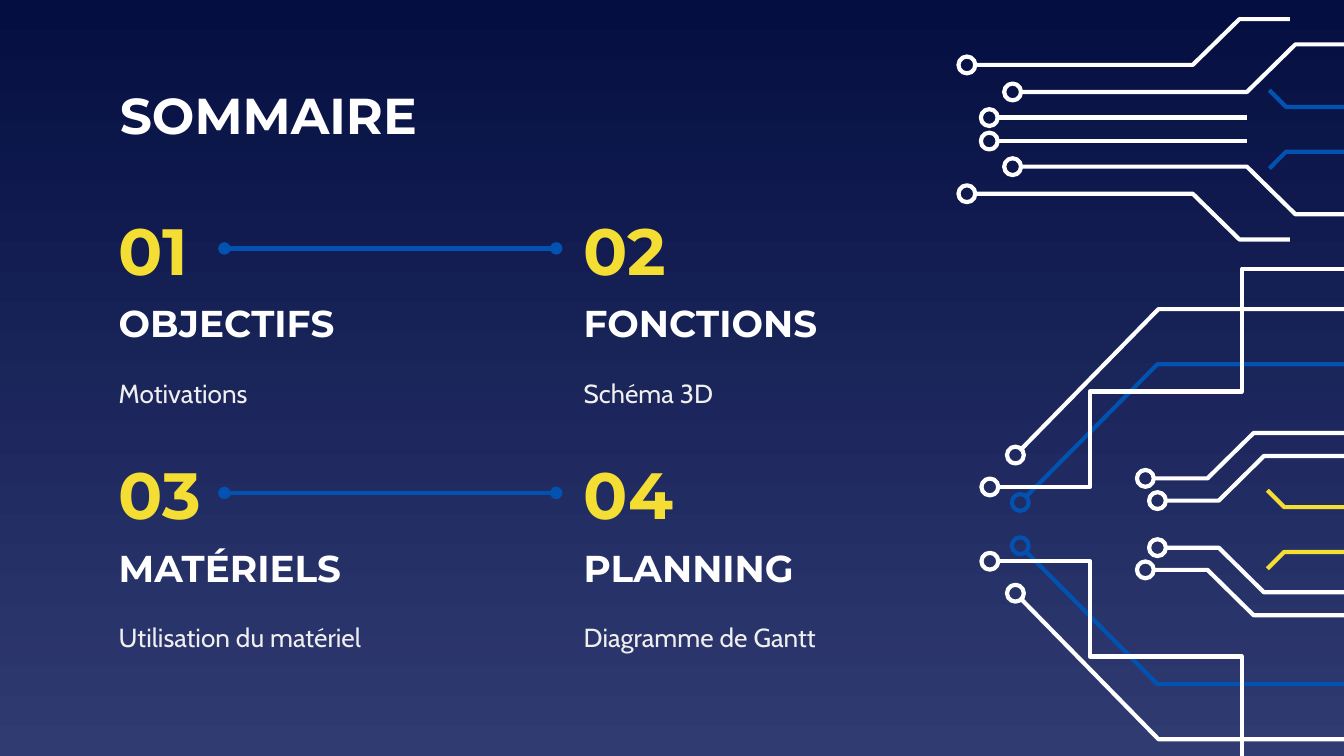
import math

import pptx
import pptx.dml.color
import pptx.enum.shapes
import pptx.enum.text
import pptx.oxml
import pptx.oxml.ns
import pptx.util

Pt = pptx.util.Pt
COLORS = {
    "top": "040E41", "bottom": "303B72", "white": "FFFFFF",
    "pale": "EFEFEF", "yellow": "F5DE34", "blue": "0152B1",
}
STROKE = 2.25
RADIUS = 4.5
ITEMS = [
    ("OBJECTIFS", "Motivations"),
    ("FONCTIONS", "Schéma 3D"),
    ("MATÉRIELS", "Utilisation du matériel"),
    ("PLANNING", "Diagramme de Gantt"),
]
CONNECTOR_TRACES = [
    ("white", [(5, 34.5), (126, 34.5), (151, 59), (178, 59)]),
    ("white", [(29.5, 20), (155, 20), (181, 45.5), (225, 45.5)]),
    ("white", [(17, 6.3), (155, 6.3)]),
]
CHIP_TRACES = [
    ("white", [(88, 24.5), (121.3, 24.5), (146, 48.8), (209, 48.8)]),
    ("white", [(94.5, 12.6), (127.3, 12.6), (151.5, 36.5), (209, 36.5)]),
    ("blue", [(21, 11.6), (94.5, 85.7), (209, 85.7)]),
    ("white", [(4.7, 19.9), (58.3, 19.9), (58.3, 71), (139.7, 71), (139.7, 136.8), (209, 136.8)]),
    ("white", [(18.4, 37), (95, 115.2), (209, 115.2)]),
]
NOTCH = [(0, 21), (9, 12), (50, 12)]


def rgb(name):
    """Return the named colour."""
    return pptx.dml.color.RGBColor.from_string(COLORS[name])


def set_line(sp, color):
    """Give a shape or connector the common stroke."""
    sp.line.color.rgb = rgb(color)
    sp.line.width = Pt(STROKE)


def write(sp, text, *, left, top, width, height, size, color="white", font="Montserrat", bold=True):
    """Place a text shape and fill it with one formatted paragraph."""
    sp.left, sp.top, sp.width, sp.height = Pt(left), Pt(top), Pt(width), Pt(height)
    tf = sp.text_frame
    tf.word_wrap = True
    tf.auto_size = pptx.enum.text.MSO_AUTO_SIZE.NONE
    tf.vertical_anchor = pptx.enum.text.MSO_ANCHOR.MIDDLE
    tf.margin_left = tf.margin_right = tf.margin_top = tf.margin_bottom = Pt(7.2)
    p = tf.paragraphs[0]
    p.alignment = pptx.enum.text.PP_ALIGN.LEFT
    r = p.add_run()
    r.text = text
    r.font.size, r.font.bold, r.font.name = Pt(size), bold, font
    r.font.color.rgb = rgb(color)


def add_path(slide, points, color):
    """Draw an open outline through the points."""
    points = [(Pt(x), Pt(y)) for x, y in points]
    builder = slide.shapes.build_freeform(*points[0])
    builder.add_line_segments(points[1:], close=False)
    sp = builder.convert_to_shape()
    sp.fill.background()
    set_line(sp, color)
    sp.shadow.inherit = False


def add_ring(slide, x, y, color):
    """Draw a hollow node centred on a point."""
    sp = slide.shapes.add_shape(
        pptx.enum.shapes.MSO_SHAPE.OVAL,
        Pt(x - RADIUS), Pt(y - RADIUS), Pt(2 * RADIUS), Pt(2 * RADIUS))
    sp.fill.background()
    set_line(sp, color)
    sp.shadow.inherit = False


def add_circuit(slide, left, axis, traces, nodes=True):
    """Draw traces above a horizontal axis and their reflections below it."""
    for side in (-1, 1):
        for color, offsets in traces:
            points = [(left + x, axis + side * y) for x, y in offsets]
            if nodes:
                (x, y), (x2, y2) = points[:2]
                add_ring(slide, x, y, color)
                share = RADIUS / math.hypot(x2 - x, y2 - y)
                points[0] = (x + share * (x2 - x), y + share * (y2 - y))
            add_path(slide, points, color)


def add_item(slide, left, top, number, title, detail):
    """Write one numbered entry of the summary."""
    rows = [
        (f"{number:02}", 0, 71, 42, dict(size=35, color="yellow")),
        (title, 41.7, 173.5, 37.5, dict(size=20)),
        (detail, 77, 173.5, 41.8, dict(size=14, color="pale", font="Cabin", bold=False)),
    ]
    for text, dy, width, height, style in rows:
        sp = slide.shapes.add_textbox(0, 0, 0, 0)
        write(sp, text, left=left, top=top + dy, width=width, height=height, **style)


def add_link(slide, x1, x2, y):
    """Join two numbers with a line ending in dots."""
    sp = slide.shapes.add_connector(
        pptx.enum.shapes.MSO_CONNECTOR.STRAIGHT, Pt(x1), Pt(y), Pt(x2), Pt(y))
    set_line(sp, "blue")
    ln = sp.line._get_or_add_ln()
    for tag in ("a:headEnd", "a:tailEnd"):
        end = pptx.oxml.ns.qn(tag)
        ln.append(ln.makeelement(end, {"type": "oval"}))
    props = sp._element.spPr
    props.append(props.makeelement(pptx.oxml.ns.qn("a:effectLst"), {}))


def add_summary(slide, left, top, col_gap=249.1, row_gap=131):
    """Lay the entries out in two columns, linked along each row."""
    for i, (title, detail) in enumerate(ITEMS):
        row, col = divmod(i, 2)
        y = top + row * row_gap
        add_item(slide, left + col * col_gap, y, i + 1, title, detail)
        if col == 0:
            add_link(slide, left + 63.7, left + 241.5, y + 20.7)


def paint_background(slide):
    """Fill the slide with a vertical gradient."""
    fill = slide.background.fill
    fill.gradient()
    fill.gradient_angle = 270
    for stop, position, name in zip(fill.gradient_stops, (0, 1), ("top", "bottom")):
        stop.position = position
        stop.color.rgb = rgb(name)


def main():
    """Build the summary slide and save it."""
    prs = pptx.Presentation()
    prs.slide_width, prs.slide_height = Pt(720), Pt(405)
    slide = prs.slides.add_slide(prs.slide_layouts[5])
    paint_background(slide)
    write(slide.shapes.title, "SOMMAIRE", left=57, top=42.5, width=422.5, height=37.5, size=27)
    add_summary(slide, 56.5, 112.4)
    add_circuit(slide, 525.6, 280.8, CHIP_TRACES)
    add_circuit(slide, 679, 283.7, [("yellow", NOTCH)], nodes=False)
    add_circuit(slide, 513, 69.3, CONNECTOR_TRACES)
    add_circuit(slide, 680, 69.3, [("blue", NOTCH)], nodes=False)
    prs.save("out.pptx")


if __name__ == "__main__":
    main()
